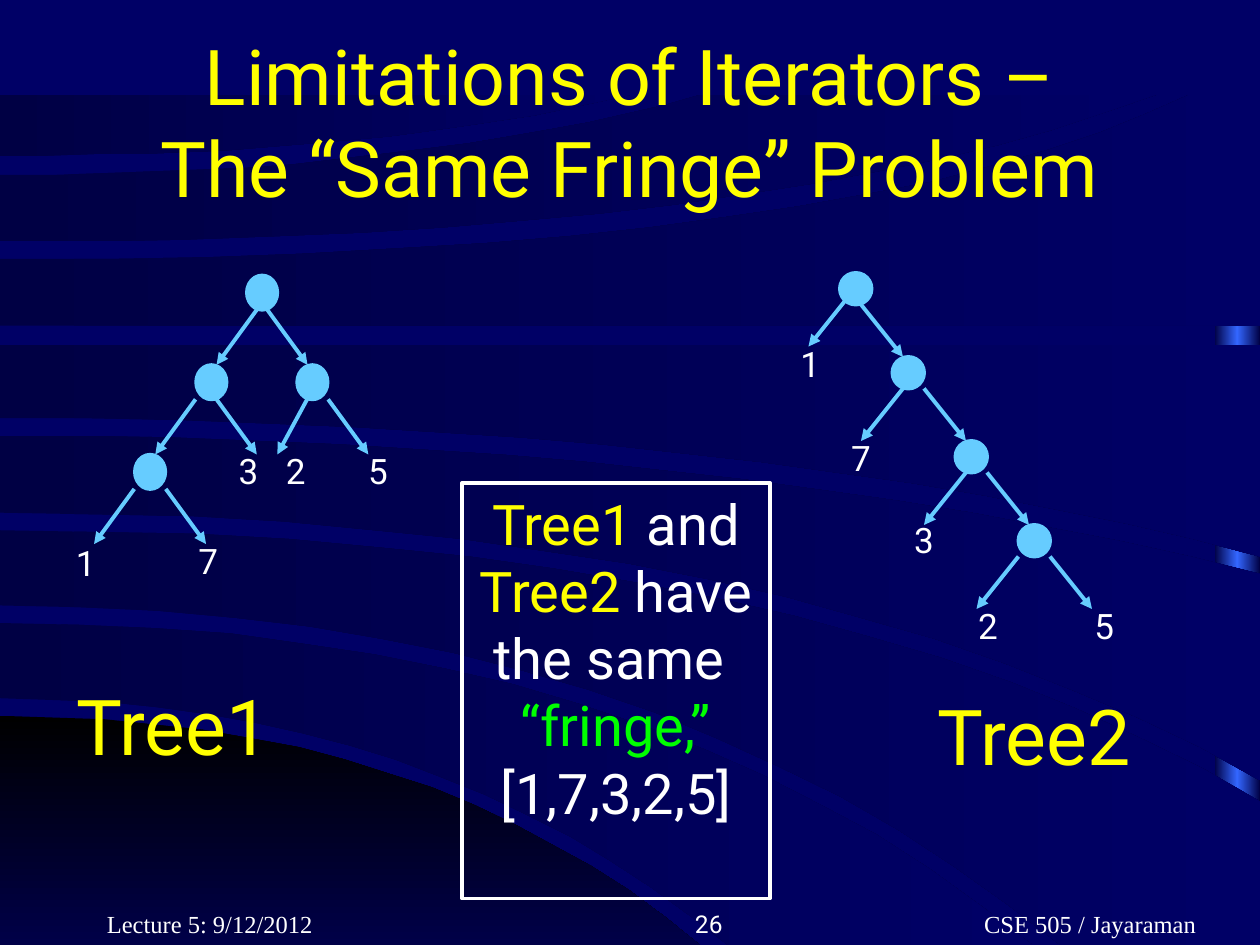
from lxml.etree import SubElement
from pptx import Presentation
from pptx.dml.color import RGBColor
from pptx.enum.shapes import MSO_CONNECTOR, MSO_SHAPE
from pptx.enum.text import MSO_ANCHOR, PP_ALIGN
from pptx.oxml.ns import qn
from pptx.util import Pt

COLORS = {"back": "000066", "deep": "000044", "black": "000000", "corner": "000048",
          "glow": "3366FF", "node": "66CCFF", "white": "FFFFFF",
          "yellow": "FFFF00", "green": "00FF00"}
SANS, SERIF = "Roboto", "Times New Roman"
WIDTH, HEIGHT, CURVE_STEPS = 720, 540, 16

# Edge: start height, bend x, end x, end height
CORNER = ((409, 244, 400, 540), (540, 200, 400, 540))
SWEEPS = [((356, 365, 590, 540), (399, 245, 416, 540)),
          ((303, 460, 720, 458), (346, 370, 606, 540)),
          ((249, 400, 720, 328), (293, 450, 720, 446)),
          ((197, 360, 720, 197), (239, 420, 720, 318)),
          ((148, 490, 680, 54), (186, 360, 720, 186)),
          ((100, 235, 401, 54), (138, 439, 661, 54)),
          ((54, 180, 361, 54), (89, 219, 361, 54))]
SWEEP_CORNERS = {1: (720, 540), 4: (720, 54)}

TREES = [
    {"name": "Tree1", "name_at": (33, 384), "top": 157.5, "row": 51.2,
     "size": (17.25, 19.5), "drop": 31.5, "reach": 23, "root_lift": 0,
     "nodes": [(0, 149.75, 3, 3), (1, 120.75, 9, 3), (1, 178.5, 3, 9), (2, 85.75, 9, 9)],
     "leaves": [("1", 36, 306), ("7", 106, 304.5), ("3", 129, 253.5),
                ("2", 156, 253.5), ("5", 203, 253.5)]},
    {"name": "Tree2", "name_at": (525, 390), "top": 156, "row": 48,
     "size": (18, 18), "drop": 30, "reach": 24, "root_lift": 6,
     "nodes": [(0, 489, 3, 3), (1, 519, 3, 9), (2, 555, 3, 9), (3, 591, 9, 9)],
     "leaves": [("1", 450, 192), ("7", 479, 246), ("3", 515, 293),
                ("2", 551.5, 342), ("5", 618, 342)]},
]
SHORT_REACH = {178.5: 17}

TITLE = [[("Limitations of Iterators –", "yellow")], [("The “Same Fringe” Problem", "yellow")]]
FRINGE = [[("Tree1", "yellow"), (" and", "white")], [("Tree2", "yellow"), (" have", "white")],
          [("the same ", "white")], [("“fringe,”", "green")], [("[1,7,3,2,5]", "white")]]
FOOTERS = [("Lecture 5: 9/12/2012", 54, SERIF, PP_ALIGN.LEFT),
           ("26", 270, SANS, PP_ALIGN.RIGHT),
           ("CSE 505 / Jayaraman", 548, SERIF, PP_ALIGN.CENTER)]

deck = Presentation()
deck.slide_width, deck.slide_height = Pt(WIDTH), Pt(HEIGHT)
slide = deck.slides.add_slide(deck.slide_layouts[6])
shapes = slide.shapes


def color(name):
    return RGBColor.from_string(COLORS[name])


slide.background.fill.solid()
slide.background.fill.fore_color.rgb = color("back")


def shade(shape, names, angle=0):
    shape.shadow.inherit = False
    shape.line.fill.background()
    shape.fill.gradient()
    shape.fill.gradient_angle = angle
    stops = shape._element.spPr.find(".//" + qn("a:gsLst"))
    for stop in list(stops):
        stops.remove(stop)
    for i, name in enumerate(names):
        stop = SubElement(stops, qn("a:gs"), pos=str(100000 * i // (len(names) - 1)))
        SubElement(stop, qn("a:srgbClr"), val=COLORS[name])


def curve(start_y, bend_x, end_x, end_y):
    steps = [i / CURVE_STEPS for i in range(CURVE_STEPS + 1)]
    return [(2 * t * (1 - t) * bend_x + t * t * end_x, start_y + t * t * (end_y - start_y))
            for t in steps]


def sweep(edges, names, angle=0, corner=None):
    upper, lower = (curve(*edge) for edge in edges)
    points = upper + ([corner] if corner else []) + lower[::-1]
    outline = shapes.build_freeform(*points[0], scale=Pt(1))
    outline.add_line_segments(points[1:], close=True)
    shade(outline.convert_to_shape(), names, angle)


def write(holder, paragraphs, size, font=SANS, align=PP_ALIGN.CENTER,
          anchor=MSO_ANCHOR.TOP, wrap=True, insets=(7.2, 3.6)):
    frame = holder.text_frame
    frame.word_wrap = wrap
    frame.vertical_anchor = anchor
    frame.margin_left = frame.margin_right = Pt(insets[0])
    frame.margin_top = frame.margin_bottom = Pt(insets[1])
    for i, runs in enumerate(paragraphs):
        paragraph = frame.add_paragraph() if i else frame.paragraphs[0]
        paragraph.alignment = align
        for text, name in runs:
            run = paragraph.add_run()
            run.text = text
            run.font.size, run.font.name = Pt(size), font
            run.font.color.rgb = color(name)


def label(paragraphs, box, size, **style):
    write(shapes.add_textbox(*map(Pt, box)), paragraphs, size, **style)


def node(center, top, size):
    circle = shapes.add_shape(MSO_SHAPE.OVAL, Pt(center - size[0] / 2), Pt(top), *map(Pt, size))
    circle.shadow.inherit = False
    circle.fill.solid()
    circle.fill.fore_color.rgb = circle.line.color.rgb = color("node")
    circle.line.width = Pt(2.25)


def arrow(*ends):
    link = shapes.add_connector(MSO_CONNECTOR.STRAIGHT, *map(Pt, ends))
    link.line.color.rgb = color("node")
    link.line.width = Pt(2.25)
    SubElement(link._element.spPr.find(qn("a:ln")), qn("a:tailEnd"), type="triangle")
    SubElement(link._element.spPr, qn("a:effectLst"))


strip = shapes.add_shape(MSO_SHAPE.RECTANGLE, Pt(694), Pt(55.5), Pt(26), Pt(484.5))
shade(strip, ["deep", "glow", "deep"])
sweep(CORNER, ["black", "corner"], 270)
for i, edges in enumerate(SWEEPS):
    sweep(edges, ["deep", "back"], corner=SWEEP_CORNERS.get(i))

label(TITLE, (54, 24, 612, 90), 44, anchor=MSO_ANCHOR.MIDDLE, insets=(0, 0))
for tree in TREES:
    reach = tree["reach"]
    for row, center, left, right in tree["nodes"]:
        top = tree["top"] + row * tree["row"]
        node(center, top, tree["size"])
        y = top + tree["size"][1]
        lifted = y - (0 if row else tree["root_lift"])
        x = center - left
        arrow(x, lifted, x - SHORT_REACH.get(center, reach), lifted + tree["drop"])
        x = center + right
        arrow(x, y, x + reach, y + tree["drop"])
    for text, x, y in tree["leaves"]:
        label([[(text, "white")]], (x, y, 26, 32), 20, wrap=False)
    label([[(tree["name"], "yellow")]], (*tree["name_at"], 132, 60.5), 44, wrap=False)

panel = shapes.add_shape(MSO_SHAPE.RECTANGLE, Pt(264), Pt(276), Pt(176), Pt(237.5))
panel.shadow.inherit = False
panel.fill.background()
panel.line.color.rgb = color("white")
panel.line.width = Pt(2.25)
write(panel, FRINGE, 32)
for text, x, font, align in FOOTERS:
    label([[(text, "white")]], (x, 504, 150, 36), 14, font=font, align=align,
          anchor=MSO_ANCHOR.BOTTOM)

deck.save("out.pptx")
